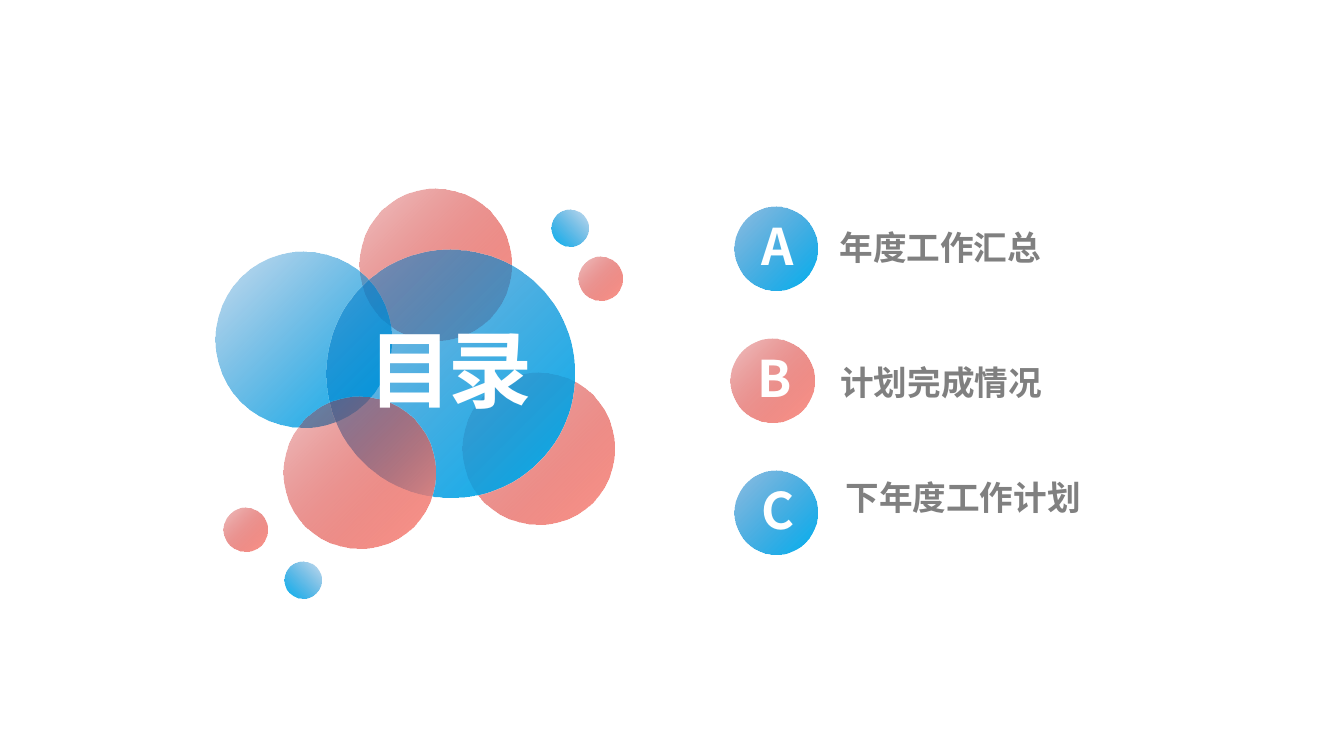
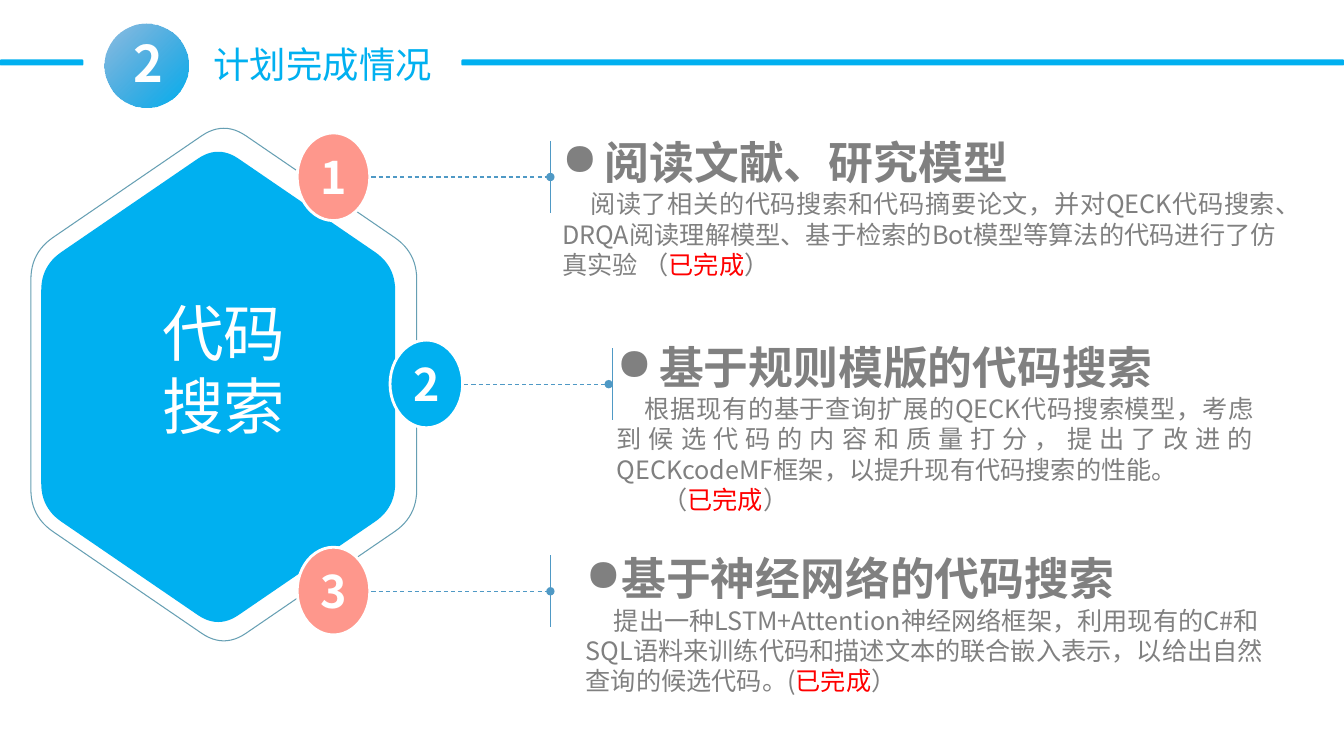
"""Builds a contents slide and a progress slide on code search."""
import math
import pptx
import pptx.dml.color
import pptx.enum.dml
import pptx.enum.shapes
import pptx.enum.text
import pptx.oxml
import pptx.oxml.ns
import pptx.util

Cm, Pt = pptx.util.Cm, pptx.util.Pt
Kind = pptx.enum.shapes.MSO_SHAPE
Align = pptx.enum.text.PP_ALIGN
FONT = "Noto Sans CJK SC"
WHITE, GRAY, BLUE, PINK = "FFFFFF", "808080", "00B0F0", "FE978C"
RED, NAVY, DARK, STEEL, TEAL = "FF0000", "0070C0", "C00000", "4F99C5", "669FB3"
DONE = "已完成"


def hue(code):
    return pptx.dml.color.RGBColor.from_string(code)


def write(para, words, size, tone, bold=False, track=0):
    head, mark, tail = words.partition(DONE)
    para.line_spacing = Pt(round(size * 1.2, 1))
    for part in (head, mark, tail):
        if not part:
            continue
        run = para.add_run()
        run.text = part
        font = run.font
        font.name, font.size, font.bold = FONT, Pt(size), bold
        font.color.rgb = hue(RED if part == DONE else tone)
        prop = run._r.get_or_add_rPr()
        east = pptx.oxml.parse_xml(
            f'<a:ea {pptx.oxml.ns.nsdecls("a")} typeface="{FONT}"/>')
        prop.find(pptx.oxml.ns.qn("a:latin")).addnext(east)
        if track:
            prop.set("spc", str(track))


deck = pptx.Presentation()
deck.slide_width, deck.slide_height = Cm(33.87), Cm(19.05)
index, plan = [deck.slides.add_slide(deck.slide_layouts[6]) for n in range(2)]
for page in (index, plan):
    page.background.fill.solid()
    page.background.fill.fore_color.rgb = hue(WHITE)

balls = [
    (index, 9.05, 4.75, 3.83, PINK, 22, 45),
    (index, 11.66, 9.4, 3.83, PINK, 22, 45),
    (index, 5.43, 6.34, 4.44, BLUE, 22, 45),
    (index, 8.22, 6.28, 6.25, BLUE, 44, 45),
    (index, 13.89, 5.27, 0.94, BLUE, 22, 135),
    (index, 14.58, 6.47, 1.1, PINK, 22, 45),
    (index, 7.14, 10, 3.83, PINK, 22, 45),
    (index, 7.16, 14.14, 0.94, BLUE, 22, 135),
    (index, 5.63, 12.8, 1.1, PINK, 22, 45),
]
notes = [
    (index, 8.31, 8, 6.1, 2.6, "目录", 60, WHITE, True, Align.CENTER, -300),
    (index, 21.16, 5.72, 8.76, 1.1, "年度工作汇总", 24, GRAY, True, Align.LEFT, 0),
    (index, 21.18, 9.12, 7.42, 1.1, "计划完成情况", 24, GRAY, True, Align.LEFT, 0),
    (index, 21.31, 12.02, 7.26, 1.1, "下年度工作计划", 24, GRAY, True, Align.LEFT, 0),
    (plan, 5.38, 1.07, 5.8, 1.15, "计划完成情况", 26, BLUE, False, Align.LEFT, 0),
]
badges = [
    (index, 18.5, 5.21, BLUE, 44, "A"),
    (index, 18.42, 8.53, PINK, 22, "B"),
    (index, 18.5, 11.86, BLUE, 44, "C"),
    (plan, 2.63, 0.6, BLUE, 44, "2"),
]
for page, x, y, tone, alpha, sign in badges:
    balls.append((page, x, y, 2.11, tone, alpha, 45))
    notes.append((page, x - 0.56, y + 0.22, 3.33, 1.55, sign, 36, WHITE, True,
                  Align.CENTER, -300))

for page, x, y, size, tone, alpha, angle in balls:
    ball = page.shapes.add_shape(Kind.OVAL, Cm(x), Cm(y), Cm(size), Cm(size))
    ball.shadow.inherit = False
    ball.line.fill.background()
    ball.fill.gradient()
    ball.fill.gradient_angle = 360 - angle
    first, last = ball.fill.gradient_stops
    first.color.rgb = hue(NAVY if tone == BLUE else DARK)
    last.color.rgb = hue(tone)
    first.position, last.position = 0, 1
    shade = ball.element.xpath(".//a:gs[1]/a:srgbClr")[0]
    shade.append(pptx.oxml.parse_xml(
        f'<a:alpha {pptx.oxml.ns.nsdecls("a")} val="{alpha * 1000}"/>'))

for x, width in ((0, 2.1), (11.63, 22.24)):
    bar = plan.shapes.add_shape(
        Kind.ROUNDED_RECTANGLE, Cm(x), Cm(1.5), Cm(width), Cm(0.15))
    bar.shadow.inherit = False
    bar.fill.solid()
    bar.fill.fore_color.rgb = hue(BLUE)
    bar.line.fill.background()

for midx, midy, scale, solid in ((5.5, 9.75, 1, True), (5.64, 9.69, 1.09, False)):
    wide, side, peak = [scale * part for part in (4.46, 3.05, 6.1)]
    tips = [(0, -peak), (wide, -side), (wide, side),
            (0, peak), (-wide, side), (-wide, -side)]
    dots = []
    for n, (x, y) in enumerate(tips):
        ends = []
        for u, v in (tips[n - 1], tips[(n + 1) % 6]):
            cut = 0.62 * scale / math.hypot(u - x, v - y)
            ends.append((x + (u - x) * cut, y + (v - y) * cut))
        (a, b), (c, d) = ends
        for step in range(13):
            t = step / 12
            s = 1 - t
            dots.append((Cm(midx + s * s * a + 2 * s * t * x + t * t * c),
                         Cm(midy + s * s * b + 2 * s * t * y + t * t * d)))
    pen = plan.shapes.build_freeform(*dots[0], scale=1.0)
    pen.add_line_segments(dots[1:], close=True)
    hexa = pen.convert_to_shape()
    hexa.shadow.inherit = False
    if solid:
        hexa.fill.solid()
        hexa.fill.fore_color.rgb = hue(BLUE)
        hexa.line.fill.background()
    else:
        hexa.fill.background()
        hexa.line.color.rgb = hue(TEAL)
        hexa.line.width = Pt(0.75)
notes.append((plan, 3.38, 7.42, 4.52, 4.7, "代码搜索", 44, WHITE, False,
              Align.CENTER, 0))

for page, x, y, width, high, words, size, tone, bold, align, track in notes:
    frame = page.shapes.add_textbox(Cm(x), Cm(y), Cm(width), Cm(high)).text_frame
    frame.word_wrap = True
    frame.margin_left = frame.margin_right = 0
    frame.margin_top = frame.margin_bottom = 0
    frame.paragraphs[0].alignment = align
    write(frame.paragraphs[0], words, size, tone, bold, track)

tasks = [
    (7.49, PINK, 13.87, 13.87, 14.17, 3.4, 17.98, 3.68, 1.07,
     "阅读文献、研究模型",
     [(0.71, "阅读了相关的代码搜索和代码摘要论文，并对QECK代码搜索、DRQA阅读理解模型、"
       "基于检索的Bot模型等算法的代码进行了仿真实验 （已完成）")]),
    (9.83, BLUE, 15.34, 15.44, 15.54, 8.56, 16.05, 4.45, 1.07,
     "基于规则模版的代码搜索",
     [(0.71, "根据现有的基于查询扩展的QECK代码搜索模型，考虑到候选代码的内容和质量打分，"
       "提出了改进的QECKcodeMF框架，以提升现有代码搜索的性能。"),
      (1.15, "（已完成）")]),
    (7.49, PINK, 13.87, 13.87, 14.76, 13.89, 17.63, 3.68, 0.79,
     "基于神经网络的代码搜索",
     [(0.71, "提出一种LSTM+Attention神经网络框架，利用现有的C#和SQL语料来训练代码和"
       "描述文本的联合嵌入表示，以给出自然查询的候选代码。(已完成）")]),
]
for n, (x, tone, stop, post, left, top, width, high, hang, name, body) in enumerate(tasks):
    y = 3.35 + 5.22 * n
    mid = y + 1.11
    disc = plan.shapes.add_shape(Kind.OVAL, Cm(x), Cm(y), Cm(1.83), Cm(2.21))
    disc.shadow.inherit = False
    disc.fill.solid()
    disc.fill.fore_color.rgb = hue(tone)
    disc.line.color.rgb = hue(WHITE)
    disc.line.width = Pt(2)
    disc.text_frame.vertical_anchor = pptx.enum.text.MSO_ANCHOR.MIDDLE
    disc.text_frame.paragraphs[0].alignment = Align.CENTER
    write(disc.text_frame.paragraphs[0], str(n + 1), 32, WHITE, True)

    for dash, ends in ((True, (x + 1.87, mid, stop, mid)),
                       (False, (post, mid - 0.91, post, mid + 0.91))):
        link = plan.shapes.add_connector(
            pptx.enum.shapes.MSO_CONNECTOR.STRAIGHT, *[Cm(end) for end in ends])
        link.line.color.rgb = hue(STEEL)
        link.line.width = Pt(0.75)
        if dash:
            link.line.dash_style = pptx.enum.dml.MSO_LINE.DASH
            link.line._ln.append(pptx.oxml.parse_xml(
                f'<a:tailEnd {pptx.oxml.ns.nsdecls("a")} type="oval"/>'))
        link.element.spPr.append(pptx.oxml.parse_xml(
            f'<a:effectLst {pptx.oxml.ns.nsdecls("a")}/>'))

    frame = plan.shapes.add_textbox(
        Cm(left), Cm(top), Cm(width), Cm(high)).text_frame
    frame.word_wrap = True
    frame.margin_left = frame.margin_right = 0
    frame.margin_top = frame.margin_bottom = 0
    title = frame.paragraphs[0]
    title.alignment = Align.JUSTIFY
    write(title, name, 32, GRAY, True)
    prop = title._p.get_or_add_pPr()
    prop.set("marL", str(Cm(hang)))
    prop.set("indent", str(-Cm(hang)))
    prop.append(pptx.oxml.parse_xml(
        f'<a:buChar {pptx.oxml.ns.nsdecls("a")} char="●"/>'))
    for inset, words in body:
        para = frame.add_paragraph()
        para.alignment = Align.LEFT if n == 2 else Align.JUSTIFY
        para._p.get_or_add_pPr().set("indent", str(Cm(inset)))
        write(para, words, 18, GRAY)

deck.save("out.pptx")
